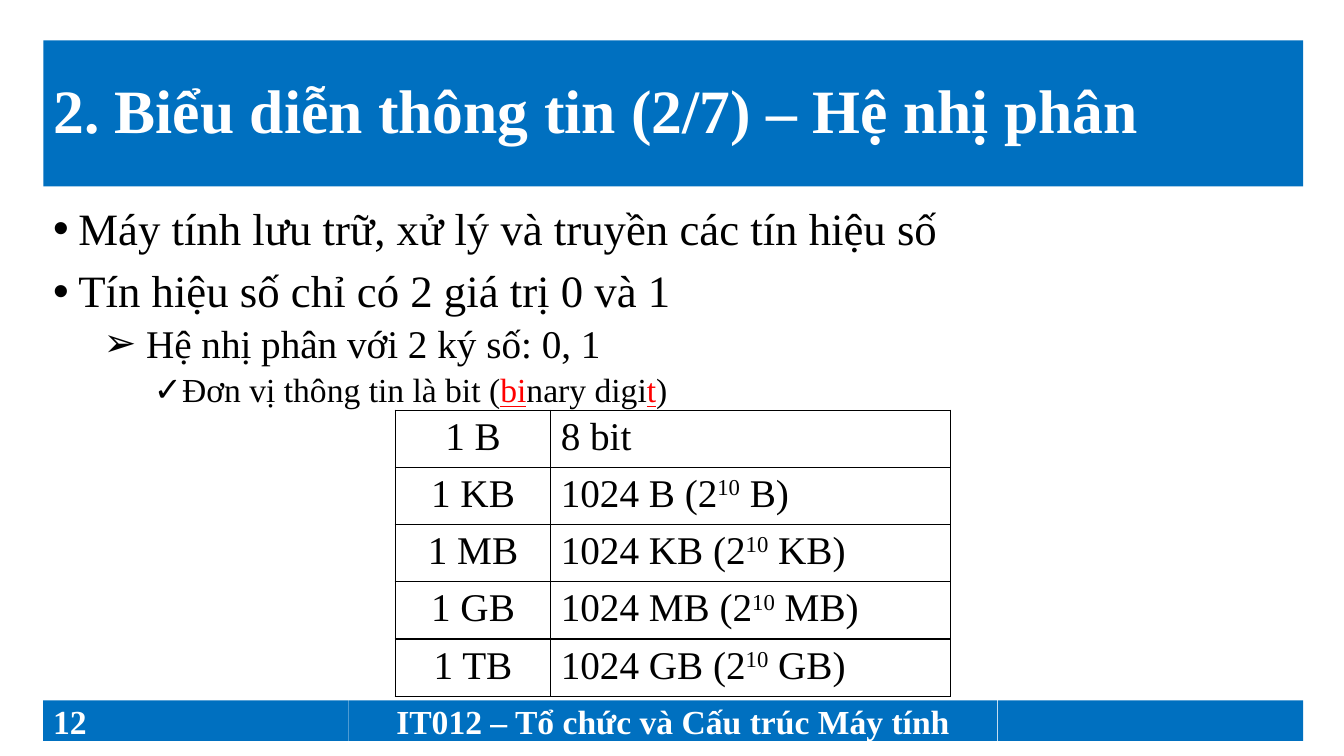
from lxml.etree import SubElement
from pptx import Presentation
from pptx.dml.color import RGBColor
from pptx.enum.shapes import MSO_SHAPE as SHAPE
from pptx.enum.text import MSO_ANCHOR as ANCHOR, PP_ALIGN as ALIGN
from pptx.oxml import parse_xml
from pptx.oxml.ns import nsdecls, qn
from pptx.util import Cm, Pt

FONT = "Times New Roman"
BLUE, WHITE, BLACK, RED = "0070C0", "FFFFFF", "000000", "FF0000"
LEFT, WIDTH = 1.09, 31.75
FOOTER_TOP, FOOTER_HEIGHT = 17.65, 1.02
MARK = {"color": RED, "underline": True}
SUPER = {"baseline": 30000}


def rgb(value):
    return RGBColor.from_string(value)


def add_run(p, text, size, color=BLACK, baseline=None, **formats):
    r = p.add_run()
    r.text = text
    for name, value in {"name": FONT, "size": Pt(size), **formats}.items():
        setattr(r.font, name, value)
    r.font.color.rgb = rgb(color)
    if baseline:
        r._r.get_or_add_rPr().set("baseline", str(baseline))


def place(s, left, top, width, height):
    box = {"left": left, "top": top, "width": width, "height": height}
    for name, value in box.items():
        setattr(s, name, Cm(value))


def add_title(slide, text):
    s = slide.shapes.title
    place(s, LEFT, 1.02, WIDTH, 3.68)
    s.fill.solid()
    s.fill.fore_color.rgb = rgb(BLUE)
    tf = s.text_frame
    tf.word_wrap = True
    tf.vertical_anchor = ANCHOR.MIDDLE
    p = tf.paragraphs[0]
    p.alignment, p.line_spacing = ALIGN.LEFT, 0.9
    add_run(p, text, 44, WHITE, bold=True)


def add_footer_bar(slide, left, width, text="", align=ALIGN.LEFT):
    s = slide.shapes.add_shape(SHAPE.RECTANGLE, Cm(left), Cm(FOOTER_TOP),
                               Cm(width), Cm(FOOTER_HEIGHT))
    s.shadow.inherit = False
    s.fill.solid()
    s.fill.fore_color.rgb = rgb(BLUE)
    s.line.fill.background()
    if text:
        s.text_frame.vertical_anchor = ANCHOR.MIDDLE
        p = s.text_frame.paragraphs[0]
        p.alignment = align
        add_run(p, text, 24, WHITE, bold=True)


def add_bullets(slide, items):
    # Size, space before and bullet sign for each level
    levels = [(32, 10, "•"), (28, 5, "➢"), (24, 5, "✓")]
    s = slide.shapes.add_textbox(Cm(LEFT), Cm(5.08), Cm(WIDTH), Cm(12.09))
    tf = s.text_frame
    tf.word_wrap = True
    for i, (level, runs) in enumerate(items):
        size, before, sign = levels[level]
        p = tf.add_paragraph() if i else tf.paragraphs[0]
        p.level, p.line_spacing, p.space_before = level, 0.9, Pt(before)
        pPr = p._p.get_or_add_pPr()
        pPr.set("marL", str(Cm(0.635 + 1.27 * level)))
        pPr.set("indent", str(-Cm(0.635)))
        SubElement(pPr, qn("a:buFont"), typeface="Arial")
        SubElement(pPr, qn("a:buChar"), char=sign)
        for text, formats in runs:
            add_run(p, text, size, **formats)


def add_borders(cell):
    tcPr = cell._tc.get_or_add_tcPr()
    for i, side in enumerate(("lnL", "lnR", "lnT", "lnB")):
        tcPr.insert(i, parse_xml(
            f'<a:{side} {nsdecls("a")} w="{Pt(1)}"><a:solidFill>'
            f'<a:srgbClr val="{BLACK}"/></a:solidFill></a:{side}>'))


def add_unit_table(slide, rows):
    row_height = 1.35
    table = slide.shapes.add_table(len(rows), 2, Cm(9.96), Cm(10.34), Cm(14),
                                   Cm(row_height * len(rows))).table
    table.first_row = table.horz_banding = False
    for column, width in zip(table.columns, (3.92, 10.08)):
        column.width = Cm(width)
    for i, row in enumerate(rows):
        for j, runs in enumerate(row):
            cell = table.cell(i, j)
            cell.fill.background()
            add_borders(cell)
            p = cell.text_frame.paragraphs[0]
            p.alignment = ALIGN.LEFT if j else ALIGN.CENTER
            for text, formats in runs:
                add_run(p, text, 28, **formats)


def main():
    prs = Presentation()
    prs.slide_width, prs.slide_height = Cm(33.87), Cm(19.05)
    slide = prs.slides.add_slide(prs.slide_layouts[5])

    # Footer
    add_footer_bar(slide, 8.79, 16.34,
                   "IT012 – Tổ chức và Cấu trúc Máy tính", ALIGN.CENTER)
    add_footer_bar(slide, 25.15, 7.69)
    add_footer_bar(slide, LEFT, 7.7, "12")

    # Title and bullets
    add_title(slide, "2. Biểu diễn thông tin (2/7) – Hệ nhị phân")
    add_bullets(slide, [
        (0, [("Máy tính lưu trữ, xử lý và truyền các tín hiệu số", {})]),
        (0, [("Tín hiệu số chỉ có 2 giá trị 0 và 1", {})]),
        (1, [(" Hệ nhị phân với 2 ký số: 0, 1", {})]),
        (2, [("Đơn vị thông tin là bit (", {}), ("bi", MARK),
             ("nary digi", {}), ("t", MARK), (")", {})]),
    ])

    # Units: each is 2^10 of the one before
    units = ["B", "KB", "MB", "GB", "TB"]
    rows = [([("1 B", {})], [("8 bit", {})])]
    for smaller, unit in zip(units, units[1:]):
        rows.append(([(f"1 {unit}", {})],
                     [(f"1024 {smaller} (2", {}), ("10", SUPER),
                      (f" {smaller})", {})]))
    add_unit_table(slide, rows)

    prs.save("out.pptx")


if __name__ == "__main__":
    main()
